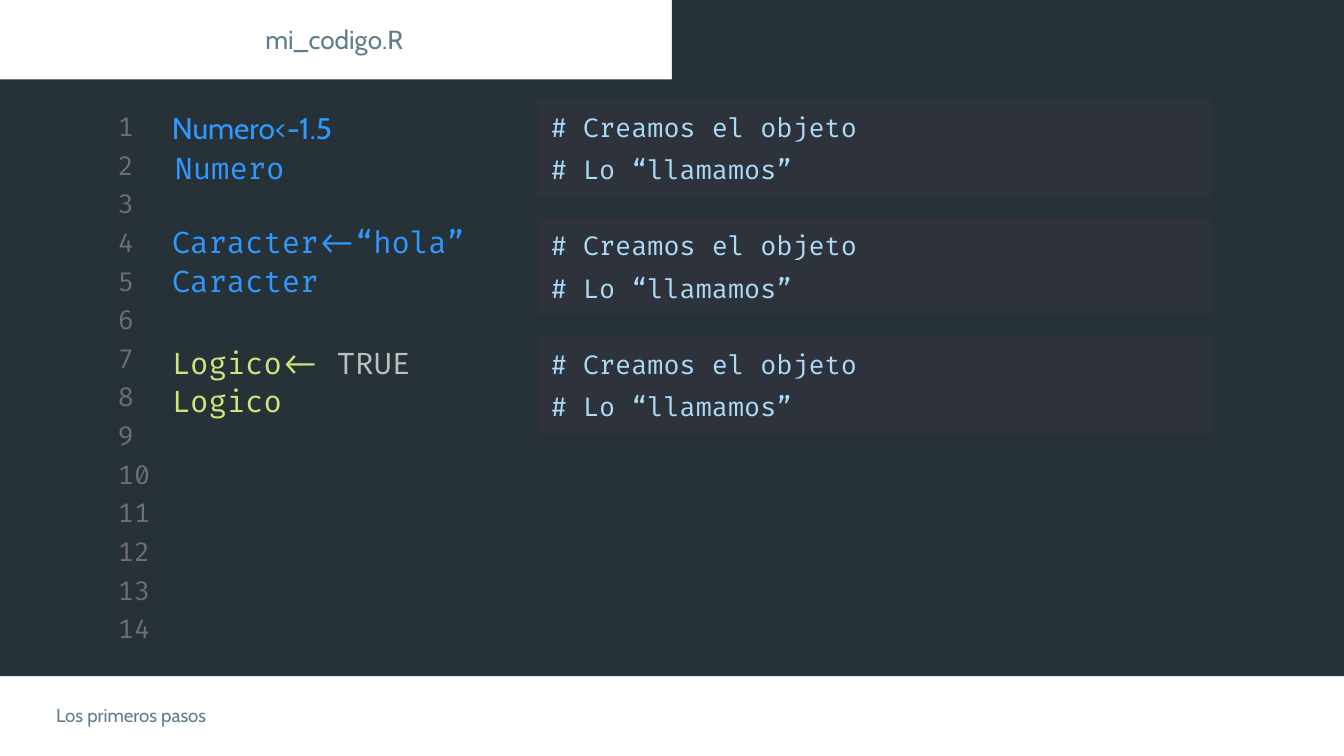
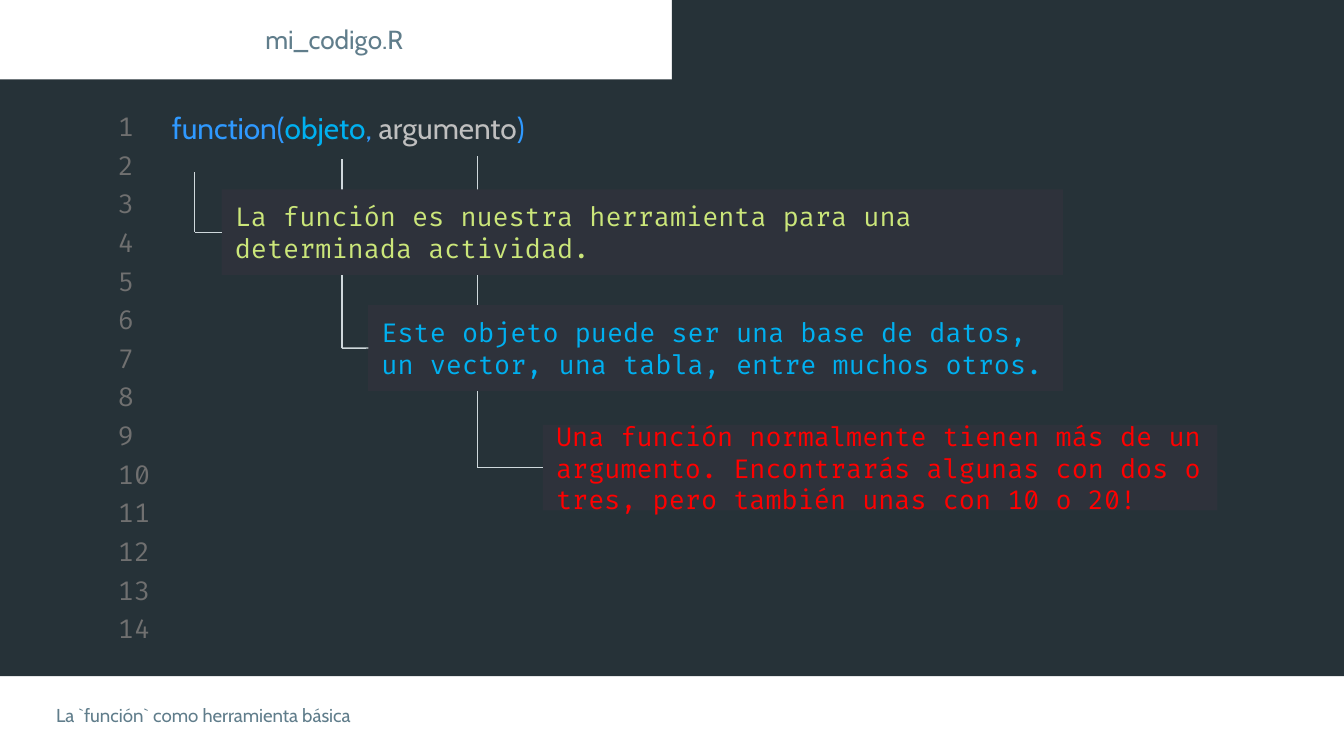
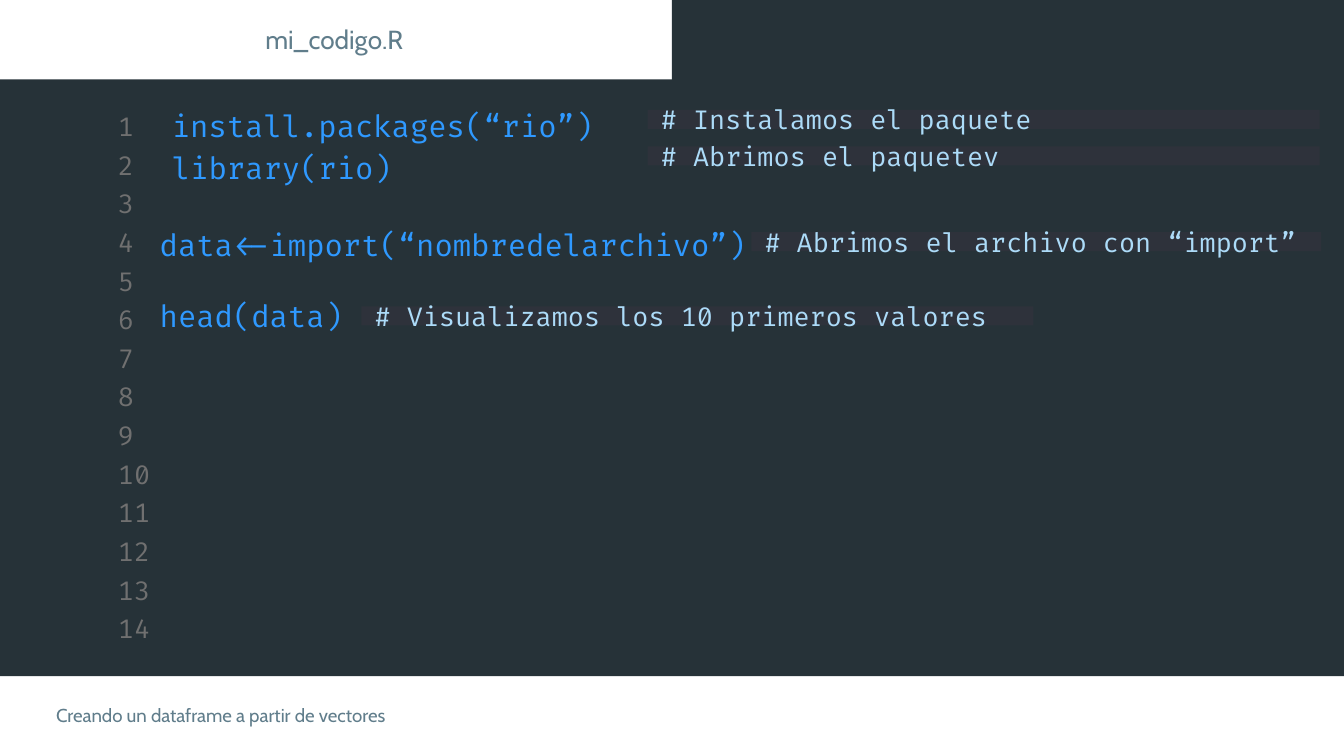
import pptx
import pptx.dml.color
import pptx.enum.shapes
import pptx.enum.text
import pptx.util
import lxml.etree

Cm = pptx.util.Cm
ALIGN = pptx.enum.text.PP_ALIGN
STRAIGHT = pptx.enum.shapes.MSO_CONNECTOR.STRAIGHT
RECTANGLE = pptx.enum.shapes.MSO_SHAPE.RECTANGLE

EDITOR, PANEL, SLATE, RULE = "263238", "2E323B", "607D8B", "CFD8DC"
BLUE, CYAN, GREEN, RED = "2F99FF", "00B0F0", "CBE67A", "FF0000"
SILVER, GRAY, COMMENT = "BFBFBF", "707070", "ACDBF8"
CODE_FONT, TITLE_FONT = "Fira Code", "Cabin"
CODE_LEFT, CODE_WIDTH, CODE_HEIGHT = 3, 19.35, 0.81


def rgb(value):
    return pptx.dml.color.RGBColor.from_string(value)


def add_block(slide, left, top, width, height, runs=(), size=14,
              font=CODE_FONT, fill=None, align=ALIGN.LEFT):
    place = Cm(left), Cm(top), Cm(width), Cm(height)
    if fill:
        block = slide.shapes.add_shape(RECTANGLE, *place)
        block.shadow.inherit = False
        block.fill.solid()
        block.fill.fore_color.rgb = rgb(fill)
        block.line.fill.background()
    else:
        block = slide.shapes.add_textbox(*place)
    frame = block.text_frame
    frame.word_wrap = True
    frame.vertical_anchor = pptx.enum.text.MSO_ANCHOR.MIDDLE
    frame.margin_left = frame.margin_right = Cm(0.25)
    frame.margin_top = frame.margin_bottom = Cm(0.25)
    frame.paragraphs[0].alignment = align
    for text, color in runs:
        run = frame.paragraphs[0].add_run()
        run.text = text
        run.font.size = pptx.util.Pt(size)
        run.font.name = font
        run.font.color.rgb = rgb(color)
    return block


deck = pptx.Presentation()
deck.slide_width = Cm(25.4)
deck.slide_height = Cm(14.29)

topics = [
    "Los primeros pasos",
    "La `función` como herramienta básica",
    "Creando un dataframe a partir de vectores",
]
for topic in topics:
    slide = deck.slides.add_slide(deck.slide_layouts[6])
    add_block(slide, 0, 1.5, 25.4, 11.28, fill=EDITOR)
    add_block(slide, 12.7, 0, 12.7, 1.65, fill=EDITOR)
    for number in range(14):
        add_block(slide, 1.98, 2.08 + 0.73 * number, 1.19, 0.61,
                  [(str(number + 1), GRAY)])
    add_block(slide, 0.81, 13.03, 22, 0.99, [(topic, SLATE)], 10, TITLE_FONT)
    add_block(slide, -0.03, 0.25, 12.7, 0.99, [("mi_codigo.R", SLATE)], 14,
              TITLE_FONT, align=ALIGN.CENTER)

objects_slide, function_slide, import_slide = deck.slides

object_lines = [
    (3, 2.01, TITLE_FONT, [("Numero<-1.5", BLUE)]),
    (3.05, 2.77, CODE_FONT, [("Numero", BLUE)]),
    (3, 4.17, CODE_FONT, [("Caracter<-“hola”", BLUE)]),
    (3, 4.9, CODE_FONT, [("Caracter", BLUE)]),
    (3, 6.45, CODE_FONT, [("Logico<-", GREEN), (" TRUE", SILVER)]),
    (3, 7.16, CODE_FONT, [("Logico", GREEN)]),
]
for left, top, font, runs in object_lines:
    add_block(objects_slide, left, top, CODE_WIDTH, CODE_HEIGHT, runs, 16, font)

for group in range(3):
    for row, remark in enumerate(["# Creamos el objeto", "# Lo “llamamos”"]):
        add_block(objects_slide, 10.16, 1.88 + 2.24 * group + 0.8 * row,
                  12.75, 1.04, [(remark, COMMENT)], fill=PANEL)

signature = [("function(", BLUE), ("objeto", CYAN), (", ", BLUE),
             ("argumento", SILVER), (")", BLUE)]
add_block(function_slide, CODE_LEFT, 2.01, CODE_WIDTH, CODE_HEIGHT, signature,
          16, TITLE_FONT)

callout_height = 1.62
callouts = [
    (4.19, 3.58, 15.9, GREEN, 3.68, 3.25,
     "La función es nuestra herramienta para una determinada actividad."),
    (6.96, 5.77, 13.13, CYAN, 6.46, 3,
     "Este objeto puede ser una base de datos, un vector, una tabla, "
     "entre muchos otros."),
    (10.26, 8.03, 12.75, RED, 9.03, 2.95,
     "Una función normalmente tienen más de un argumento. Encontrarás algunas "
     "con dos o tres, pero también unas con 10 o 20!"),
]
guides = []
for left, top, width, color, stem, stem_top, text in callouts:
    middle = top + callout_height / 2
    guides.append(function_slide.shapes.add_connector(
        STRAIGHT, Cm(stem), Cm(middle), Cm(stem), Cm(stem_top)))
for left, top, width, color, stem, stem_top, text in callouts:
    middle = top + callout_height / 2
    callout = add_block(function_slide, left, top, width, callout_height,
                        [(text, color)], fill=PANEL)
    branch = function_slide.shapes.add_connector(
        STRAIGHT, Cm(left), Cm(middle), Cm(stem), Cm(middle))
    branch.begin_connect(callout, 1)
    guides.append(branch)
for guide in guides:
    guide.line.color.rgb = rgb(RULE)
    guide.line.width = pptx.util.Pt(0.75)
    lxml.etree.SubElement(guide.element.spPr, pptx.oxml.ns.qn("a:effectLst"))

import_lines = [
    (3, 1.96, "install.packages(“rio”)",
     12.24, 2.08, 12.7, "# Instalamos el paquete"),
    (3, 2.77, "library(rio)",
     12.24, 2.77, 12.7, "# Abrimos el paquetev"),
    (2.77, 4.22, "data<-import(“nombredelarchivo”)",
     14.2, 4.39, 10.77, "# Abrimos el archivo con “import”"),
    (2.77, 5.56, "head(data)",
     6.83, 5.79, 12.7, "# Visualizamos los 10 primeros valores"),
]
for left, top, code, remark_left, remark_top, remark_width, remark in import_lines:
    add_block(import_slide, remark_left, remark_top, remark_width, 0.36,
              [(remark, COMMENT)], fill=PANEL)
    add_block(import_slide, left, top, CODE_WIDTH, CODE_HEIGHT,
              [(code, BLUE)], 16)

deck.save("out.pptx")
